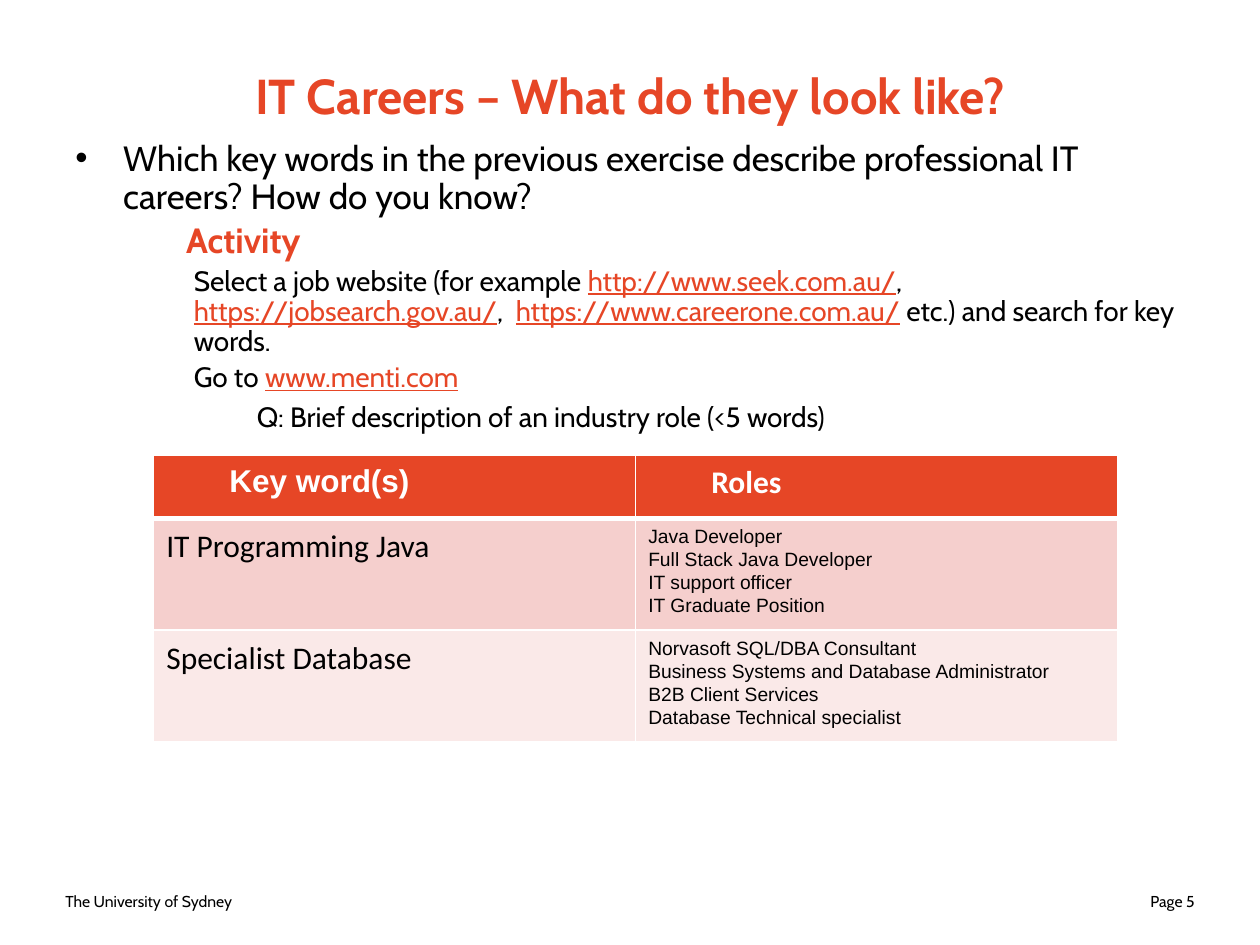
from dataclasses import dataclass

from lxml.etree import SubElement
from pptx import Presentation
from pptx.dml.color import RGBColor as Rgb
from pptx.enum.text import MSO_ANCHOR as Anchor, PP_ALIGN as Align
from pptx.oxml.ns import qn
from pptx.util import Inches, Pt


@dataclass(frozen=True)
class Theme:
    accent: str = "E64626"
    ink: str = "000000"
    paper: str = "FFFFFF"
    bands: tuple = ("F5CFCD", "FAE9E8")
    heading_font: str = "Cabin"
    table_font: str = "Calibri"
    list_font: str = "Arial"
    title: int = 28
    lead: int = 20
    key_word: int = 18
    task: int = 16
    role: int = 11
    footer: int = 9


THEME = Theme()
WIDTH, HEIGHT = Inches(10), Inches(7.5)

SITES = ("http://www.seek.com.au/", "https://jobsearch.gov.au/",
         "https://www.careerone.com.au/")
HEADINGS = (("Key word(s)", THEME.list_font, 0), ("Roles", THEME.table_font, 8))
CAREERS = (
    ("IT Programming Java",
     ("Java Developer", "Full Stack Java Developer", "IT support officer",
      "IT Graduate Position")),
    ("Specialist Database",
     ("Norvasoft SQL/DBA Consultant",
      "Business Systems and Database Administrator",
      "B2B Client Services", "Database Technical specialist")),
)


def area(left, top, width, height):
    return (int(WIDTH * left / 100), int(HEIGHT * top / 100),
            int(WIDTH * width / 100), int(HEIGHT * height / 100))


def style(run, size, font=THEME.heading_font, color=THEME.ink, bold=False):
    run.font.size = Pt(size)
    run.font.name = font
    run.font.color.rgb = Rgb.from_string(color)
    run.font.bold = bold


def text_area(slide, place, anchor):
    frame = slide.shapes.add_textbox(*area(*place)).text_frame
    frame.word_wrap = True
    frame.vertical_anchor = anchor
    return frame


def add_label(slide, place, text, size, align, color=THEME.ink, bold=False):
    line = text_area(slide, place, Anchor.MIDDLE).paragraphs[0]
    line.text = text
    line.alignment = align
    style(line.runs[0], size, color=color, bold=bold)


def indent(paragraph, left, first=0.0):
    properties = paragraph._p.get_or_add_pPr()
    properties.set("marL", str(Inches(left)))
    properties.set("indent", str(Inches(first)))
    return properties


def add_bullet(paragraph, left):
    properties = indent(paragraph, left, -left)
    SubElement(properties, qn("a:buFont"), typeface=THEME.list_font)
    SubElement(properties, qn("a:buChar"), char="•")


def next_paragraph(frame, size, spacing=0.9):
    paragraph = frame.add_paragraph()
    paragraph.line_spacing = spacing
    paragraph.space_before = Pt(size * 0.2)
    return paragraph


def add_task(frame, left, pieces, spacing=0.9):
    task = next_paragraph(frame, THEME.task, spacing)
    indent(task, left)
    for text, is_address in pieces:
        run = task.add_run()
        run.text = text
        style(run, THEME.task, color=THEME.accent if is_address else THEME.ink)
        run.font.underline = is_address


def add_activity(slide):
    frame = text_area(slide, (5, 14.27, 90, 45), Anchor.TOP)
    question = frame.paragraphs[0]
    question.text = ("Which key words in the previous exercise describe "
                     "professional IT careers? How do you know?")
    question.line_spacing = 0.9
    add_bullet(question, 0.38)
    style(question.runs[0], THEME.lead)

    activity = next_paragraph(frame, THEME.lead)
    activity.text = "Activity"
    indent(activity, 0.88)
    style(activity.runs[0], THEME.lead, color=THEME.accent, bold=True)

    seek, government, careers = SITES
    add_task(frame, 0.94, (
        ("Select a job website (for example ", False), (seek, True),
        (", ", False), (government, True), (",  ", False), (careers, True),
        (" etc.) and search for key words.", False)))
    add_task(frame, 0.94, (("Go to ", False), ("www.menti.com", True)))
    add_task(frame, 1.44, (
        ("Q: Brief description of an industry role (<5 words)", False),), 1.0)


def paint_cell(cell, color, bottom=1):
    properties = cell._tc.get_or_add_tcPr()
    for side, points in (("L", 1), ("R", 1), ("T", 1), ("B", bottom)):
        border = SubElement(properties, qn(f"a:ln{side}"), w=str(Pt(points)))
        fill = SubElement(border, qn("a:solidFill"))
        SubElement(fill, qn("a:srgbClr"), val=THEME.paper)
    cell.fill.solid()
    cell.fill.fore_color.rgb = Rgb.from_string(color)


def write_cell(cell, lines, size, font, color=THEME.ink, bold=False):
    cell.text_frame.text = "\n".join(lines)
    for paragraph in cell.text_frame.paragraphs:
        paragraph.line_spacing = 1.07
        style(paragraph.runs[0], size, font, color, bold)


def add_careers_table(slide):
    table = slide.shapes.add_table(
        len(CAREERS) + 1, len(HEADINGS), *area(12.2, 48.13, 76.5, 28.8)).table
    for row, share in zip(table.rows, (6.75, 11.05, 11.05)):
        row.height = int(HEIGHT * share / 100)
    for cell, (heading, font, after) in zip(table.rows[0].cells, HEADINGS):
        paint_cell(cell, THEME.accent, bottom=3)
        write_cell(cell, [heading], THEME.key_word, font, THEME.paper, True)
        line = cell.text_frame.paragraphs[0]
        indent(line, 0.5)
        line.space_after = Pt(after)
    for index, (key_word, roles) in enumerate(CAREERS):
        key_cell, role_cell = table.rows[index + 1].cells
        for cell in (key_cell, role_cell):
            paint_cell(cell, THEME.bands[index])
        write_cell(key_cell, [key_word], THEME.key_word, THEME.table_font)
        write_cell(role_cell, roles, THEME.role, THEME.list_font)


def main():
    deck = Presentation()
    deck.slide_width, deck.slide_height = WIDTH, HEIGHT
    slide = deck.slides.add_slide(deck.slide_layouts[6])
    add_label(slide, (4.2, 92.67, 23.3, 5.33), "The University of Sydney",
              THEME.footer, Align.LEFT)
    add_label(slide, (72.5, 92.67, 23.3, 5.33), "Page 5",
              THEME.footer, Align.RIGHT)
    add_label(slide, (5, 1.73, 90, 16.67), "IT Careers – What do they look like?",
              THEME.title, Align.CENTER, THEME.accent, True)
    add_activity(slide)
    add_careers_table(slide)
    deck.save("out.pptx")


if __name__ == "__main__":
    main()
